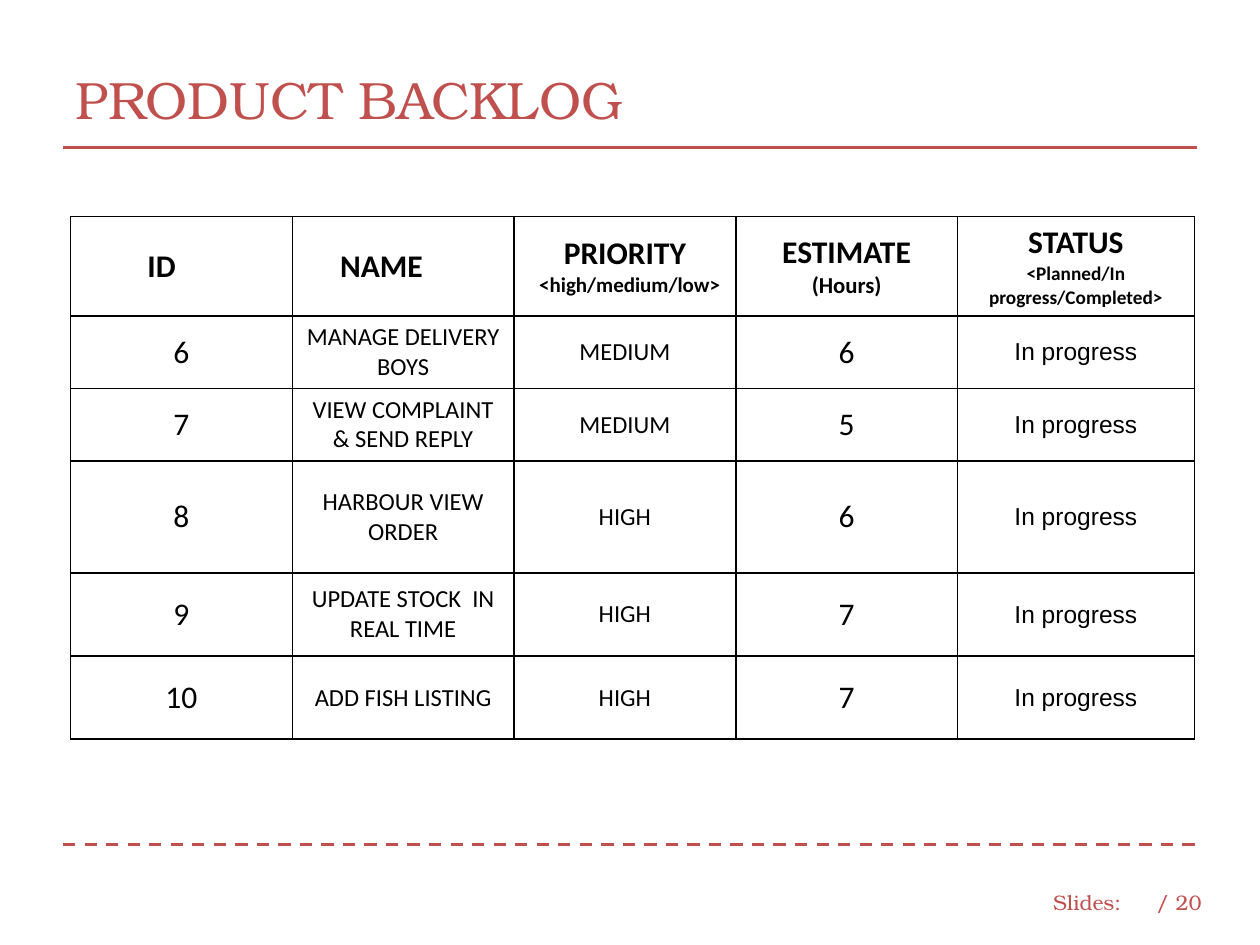
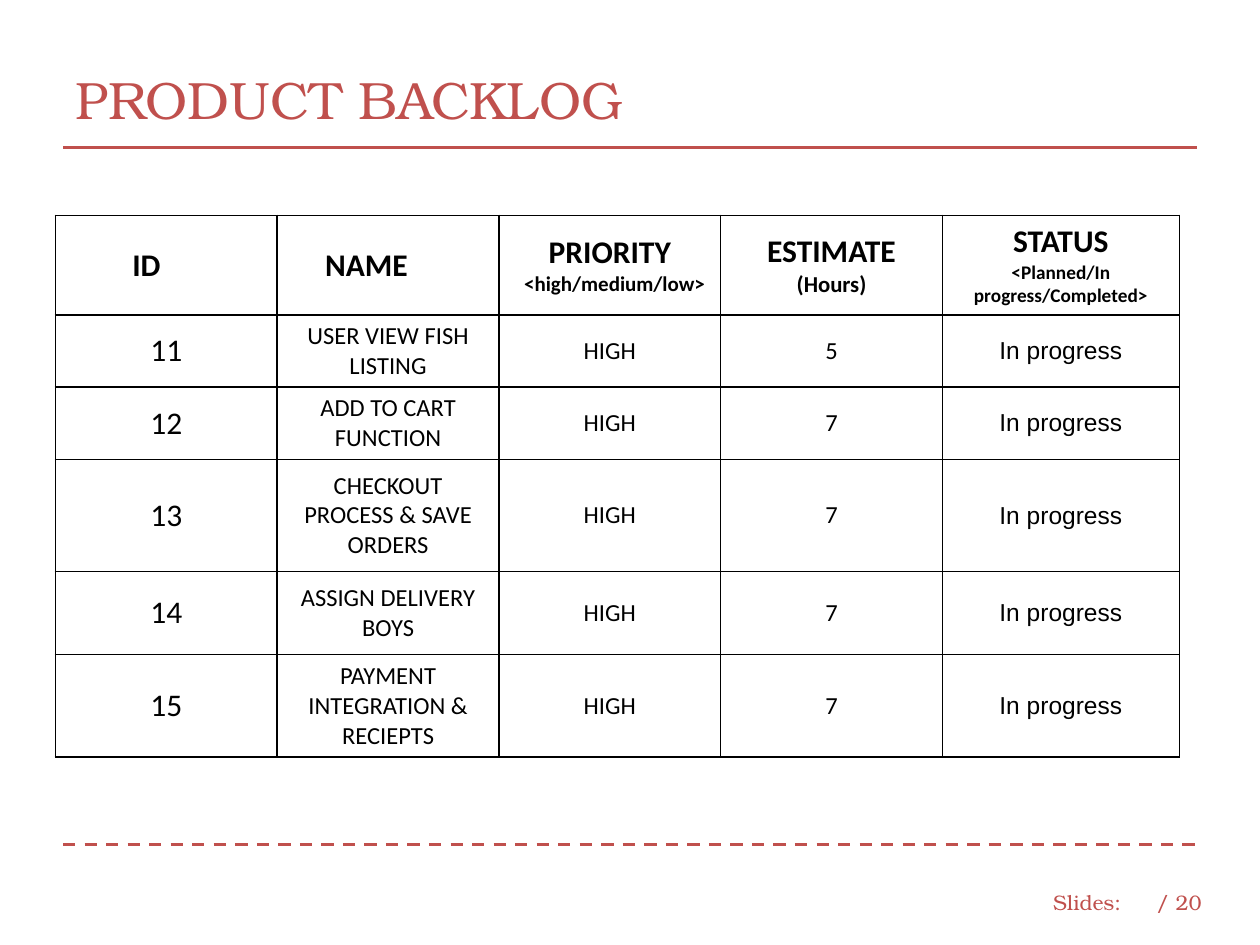
import pptx
import pptx.dml.color
import pptx.enum.dml
import pptx.enum.shapes
import pptx.enum.text
import pptx.oxml
import pptx.oxml.ns
import pptx.util
from pptx.util import Inches

ALIGN = pptx.enum.text.PP_ALIGN
MIDDLE = pptx.enum.text.MSO_ANCHOR.MIDDLE
RED, BLACK, WHITE = "C0504D", "000000", "FFFFFF"
COLUMN_WIDTHS = [1.76, 1.76, 1.76, 1.76, 1.88]
ROW_HEIGHTS = [0.79, 0.57, 0.57, 0.89, 0.66, 0.66]

# One list per column of (text, size, alignment, left indent in inches)
HEADER = [
    [("ID", 18, ALIGN.LEFT, 0.51)],
    [("NAME", 18, ALIGN.LEFT, 0.28)],
    [("PRIORITY", 18, ALIGN.CENTER, 0), ("<high/medium/low>", 12, ALIGN.LEFT, 0.1)],
    [("ESTIMATE", 18, ALIGN.CENTER, 0), ("(Hours)", 13, ALIGN.CENTER, 0)],
    [("STATUS", 18, ALIGN.CENTER, 0),
     ("<Planned/In progress/Completed>", 11, ALIGN.CENTER, 0)],
]

# Table position, size of the estimates, then (id, name, priority, estimate)
BACKLOGS = [
    (0.56, 1.72, 18, [
        (6, "MANAGE DELIVERY BOYS", "MEDIUM", 6),
        (7, "VIEW COMPLAINT & SEND REPLY", "MEDIUM", 5),
        (8, "HARBOUR VIEW ORDER", "HIGH", 6),
        (9, "UPDATE STOCK  IN REAL TIME", "HIGH", 7),
        (10, "ADD FISH LISTING", "HIGH", 7),
    ]),
    (0.44, 1.71, 14, [
        (11, "USER VIEW FISH LISTING", "HIGH", 5),
        (12, "ADD TO CART FUNCTION", "HIGH", 7),
        (13, "CHECKOUT PROCESS & SAVE ORDERS", "HIGH", 7),
        (14, "ASSIGN DELIVERY BOYS", "HIGH", 7),
        (15, "PAYMENT INTEGRATION & RECIEPTS", "HIGH", 7),
    ]),
]


def rgb(value):
    return pptx.dml.color.RGBColor.from_string(value)


def set_font(paragraph, color, **values):
    values["size"] = pptx.util.Pt(values["size"])
    for name, value in values.items():
        setattr(paragraph.font, name, value)
    paragraph.font.color.rgb = rgb(color)


class Deck:
    """Holds the shared style and the slide being built."""

    heading_font = "TeX Gyre Bonum"

    def __init__(self):
        self.presentation = pptx.Presentation()
        self.presentation.slide_width = Inches(10)
        self.presentation.slide_height = Inches(7.5)
        self.slide = None

    def add_slide(self, title):
        layout = self.presentation.slide_layouts[5]
        self.slide = self.presentation.slides.add_slide(layout)
        self.rule(6.7, dashed=True)
        self.rule(1.17)
        self.label("Slides:", 8.26, 0.75)
        self.label("/ 20", 9.08, 0.57)
        self.title(title)

    def title(self, text):
        shape = self.slide.shapes.title
        place = {"left": 0.5, "top": 0.33, "width": 9, "height": 0.91}
        for name, value in place.items():
            setattr(shape, name, Inches(value))
        self.heading_text(shape, text, 30)

    def label(self, text, left, width):
        shape = self.slide.shapes.add_textbox(
            Inches(left), Inches(6.96), Inches(width), Inches(0.4))
        self.heading_text(shape, text, 12)

    def heading_text(self, shape, text, size):
        frame = shape.text_frame
        frame.text = text
        frame.word_wrap = True
        frame.auto_size = pptx.enum.text.MSO_AUTO_SIZE.NONE
        frame.vertical_anchor = MIDDLE
        paragraph = frame.paragraphs[0]
        paragraph.alignment = ALIGN.LEFT
        set_font(paragraph, RED, name=self.heading_font, size=size)

    def rule(self, top, dashed=False):
        line = self.slide.shapes.add_connector(
            pptx.enum.shapes.MSO_CONNECTOR.STRAIGHT,
            Inches(0.5), Inches(top), Inches(9.5), Inches(top))
        line.line.color.rgb = rgb(RED)
        line.line.width = pptx.util.Pt(1.75)
        if dashed:
            line.line.dash_style = pptx.enum.dml.MSO_LINE.DASH
        properties = line._element.spPr
        properties.append(properties.makeelement(pptx.oxml.ns.qn("a:effectLst"), {}))

    def backlog_table(self, left, top, estimate_size, items):
        table = self.slide.shapes.add_table(
            len(items) + 1, len(HEADER), Inches(left), Inches(top),
            Inches(sum(COLUMN_WIDTHS)), Inches(sum(ROW_HEIGHTS))).table
        table.first_row = table.horz_banding = False
        for column, width in zip(table.columns, COLUMN_WIDTHS):
            column.width = Inches(width)
        for row, height in zip(table.rows, ROW_HEIGHTS):
            row.height = Inches(height)
        for column, lines in enumerate(HEADER):
            self.cell(table.cell(0, column), lines, bold=True)
        sizes = [18, 14, 14, estimate_size, 14]
        fonts = ["Calibri"] * 4 + ["Arial"]
        for row, item in enumerate(items, 1):
            values = (*item, "In progress")
            for column, (value, size, font) in enumerate(zip(values, sizes, fonts)):
                self.cell(table.cell(row, column),
                          [(str(value), size, ALIGN.CENTER, 0)], font)

    def cell(self, cell, lines, font="Calibri", bold=False):
        self.borders(cell)
        cell.fill.solid()
        cell.fill.fore_color.rgb = rgb(WHITE)
        cell.vertical_anchor = MIDDLE
        cell.text = "\n".join(line[0] for line in lines)
        for paragraph, (_, size, alignment, indent) in zip(
                cell.text_frame.paragraphs, lines):
            paragraph.alignment = alignment
            if indent:
                paragraph._p.get_or_add_pPr().set("marL", str(Inches(indent)))
            set_font(paragraph, BLACK, name=font, size=size, bold=bold)

    def borders(self, cell):
        properties = cell._tc.get_or_add_tcPr()
        for side in "LRTB":
            properties.append(pptx.oxml.parse_xml(
                f'<a:ln{side} {pptx.oxml.ns.nsdecls("a")} w="{pptx.util.Pt(0.96)}">'
                f'<a:solidFill><a:srgbClr val="{BLACK}"/></a:solidFill></a:ln{side}>'))


def main():
    deck = Deck()
    for left, top, estimate_size, items in BACKLOGS:
        deck.add_slide("PRODUCT BACKLOG")
        deck.backlog_table(left, top, estimate_size, items)
    deck.presentation.save("out.pptx")


if __name__ == "__main__":
    main()
